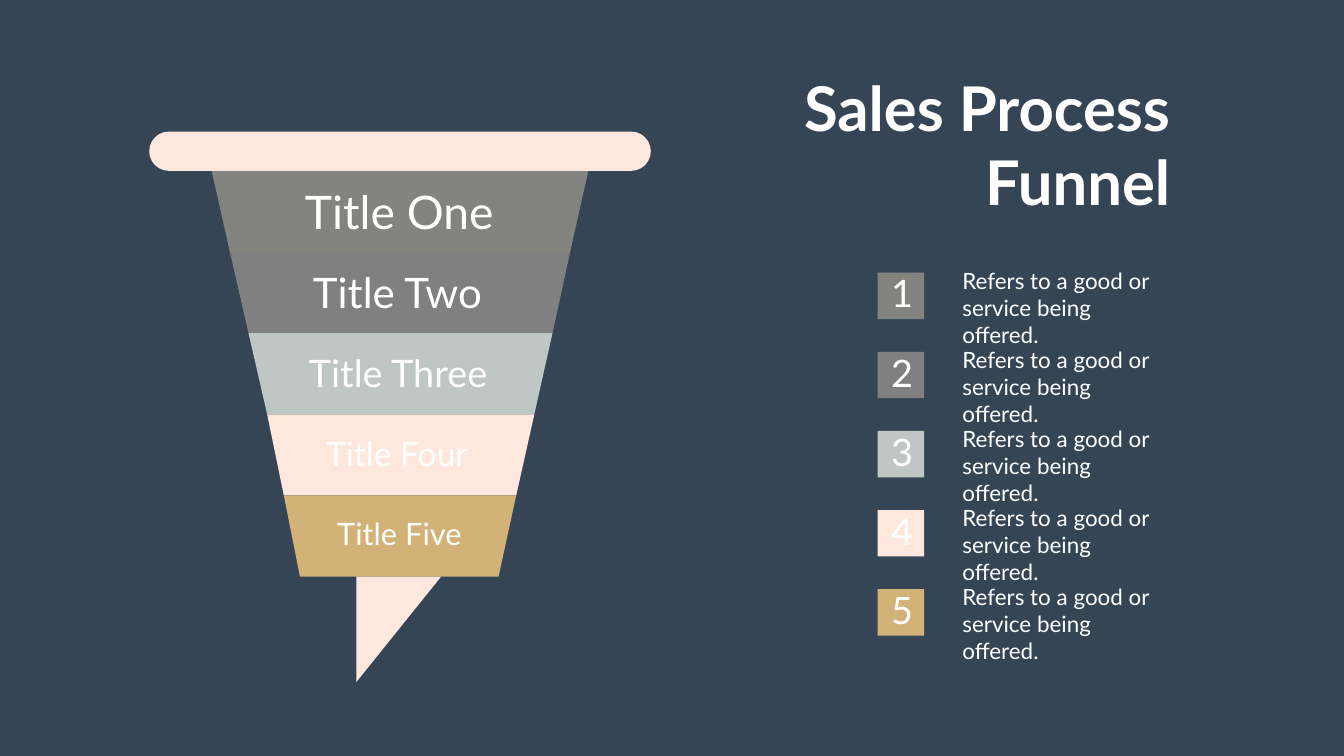
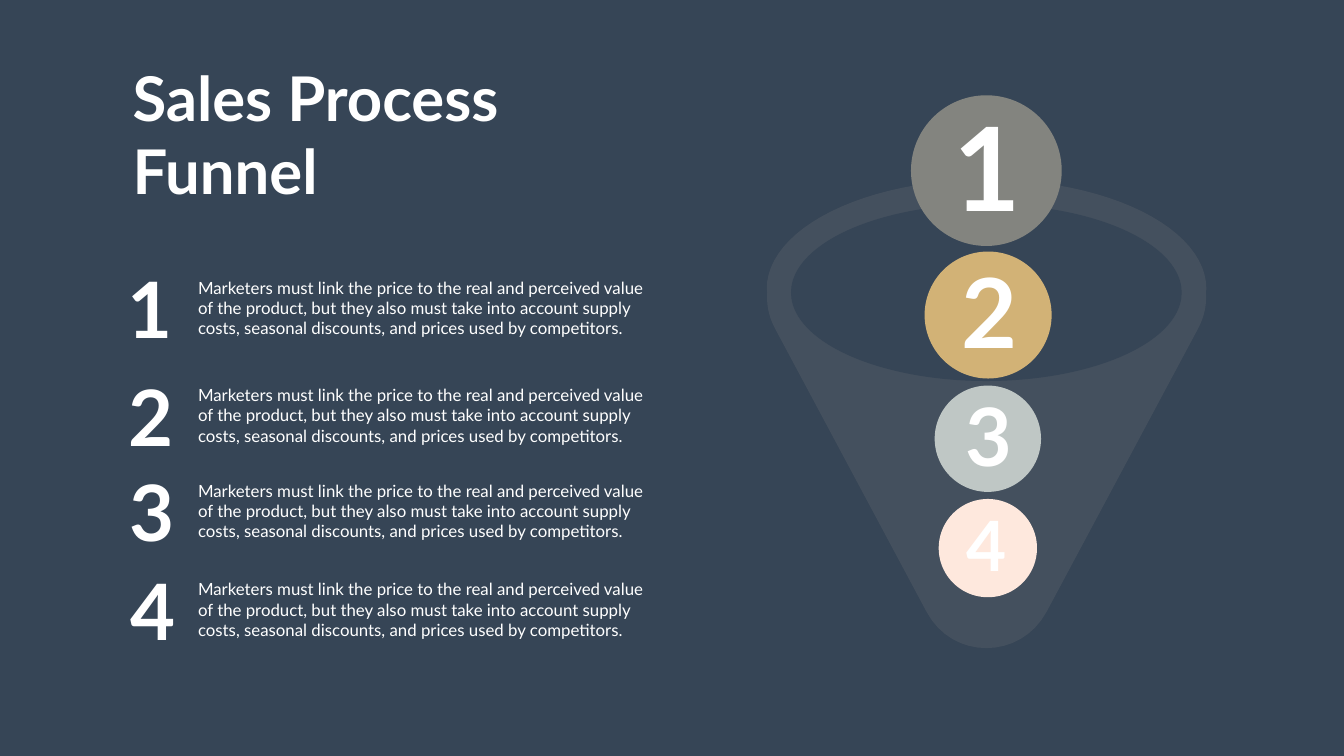
from math import cos, pi, sin

from lxml import etree
from pptx import Presentation
from pptx.dml.color import RGBColor
from pptx.enum.shapes import MSO_SHAPE
from pptx.enum.text import PP_ALIGN
from pptx.oxml.ns import qn
from pptx.util import Inches, Pt

# The slide is a grid of one-inch cells; every length below counts cells.
CELL = Inches(1)
COLUMNS, ROWS = 26.66, 15

FONT = "Lato"
NAVY, WHITE = "364556", "FFFFFF"
OLIVE, GREY, MIST, BLUSH, GOLD = "83847F", "808080", "BFC7C5", "FEE8DD", "D2B276"
TIER_COLOURS = [OLIVE, GREY, MIST, BLUSH, GOLD]

TITLE = ["Sales Process", "Funnel"]
OFFER = ["Refers to a good or", "service being offered."]
PRICING = ("Marketers must link the price to the real and perceived value of the "
           "product, but they also must take into account supply costs, seasonal "
           "discounts, and prices used by competitors.")


def cells(*counts):
    return [round(count * CELL) for count in counts]


def colour(code):
    return RGBColor.from_string(code)


def paint(shape, fill, opacity=None):
    shape.shadow.inherit = False
    shape.fill.solid()
    shape.fill.fore_color.rgb = colour(fill)
    shape.line.fill.background()
    if opacity is not None:
        tint = shape.fill._xPr.find(qn("a:solidFill"))[0]
        etree.SubElement(tint, qn("a:alpha")).set("val", str(opacity * 1000))


def add_preset(slide, kind, left, top, width, height, fill):
    shape = slide.shapes.add_shape(kind, *cells(left, top, width, height))
    paint(shape, fill)
    return shape


def add_outline(slide, points, fill, opacity=None):
    start, *rest = [cells(*point) for point in points]
    builder = slide.shapes.build_freeform(*start, scale=1.0)
    builder.add_line_segments(rest, close=True)
    paint(builder.convert_to_shape(), fill, opacity)


def add_text(slide, lines, left, top, width, *, size, rows=None, bold=False,
             align=PP_ALIGN.LEFT, wrap=True):
    """Add one paragraph per line; rows is the number of lines once wrapped."""
    height = (rows or len(lines)) * size * 1.2 / 72 + 0.1
    frame = slide.shapes.add_textbox(*cells(left, top, width, height)).text_frame
    frame.word_wrap = wrap
    for index, line in enumerate(lines):
        paragraph = frame.add_paragraph() if index else frame.paragraphs[0]
        paragraph.alignment = align
        run = paragraph.add_run()
        run.text = line
        run.font.name = FONT
        run.font.size = Pt(size)
        run.font.bold = bold
        run.font.color.rgb = colour(WHITE)


def add_title(slide, left, top, align):
    add_text(slide, TITLE, left, top, 7.59, size=88, bold=True, align=align)


def add_digit(slide, number, left, top, size, bold=True):
    width = size * 0.58 / 72 + 0.2
    add_text(slide, [str(number)], left, top, width, size=size, bold=bold, wrap=False)


def new_slide(deck):
    slide = deck.slides.add_slide(deck.slide_layouts[6])
    slide.background.fill.solid()
    slide.background.fill.fore_color.rgb = colour(NAVY)
    return slide


def curve(start, pull, push, end, steps=16):
    """Return points along a cubic Bezier curve."""
    points = []
    for step in range(steps + 1):
        t = step / steps
        weights = ((1 - t) ** 3, 3 * t * (1 - t) ** 2, 3 * t * t * (1 - t), t ** 3)
        points.append([sum(w * p[axis] for w, p in zip(weights, (start, pull, push, end)))
                       for axis in (0, 1)])
    return points


def draw_tiers(slide):
    lefts = [4.2, 4.56, 4.93, 5.3, 5.63, 5.95]
    rights = [11.67, 11.31, 10.96, 10.6, 10.24, 9.89]
    top, step = 3.39, 1.61
    for tier, fill in enumerate(TIER_COLOURS):
        upper = top + tier * step
        lower = upper + step
        add_outline(slide, [(lefts[tier], upper), (lefts[tier + 1], lower),
                            (rights[tier + 1], lower), (rights[tier], upper)], fill)
    rim = add_preset(slide, MSO_SHAPE.ROUNDED_RECTANGLE, 2.96, 2.61, 9.95, 0.78, BLUSH)
    rim.adjustments[0] = 0.5
    add_outline(slide, [(7.07, 13.53), (7.07, 11.44), (8.75, 11.44)], BLUSH)

    names = [("One", 5.95, 3.59, 4, 66), ("Two", 6.11, 5.23, 3.69, 60),
             ("Three", 6.03, 6.89, 3.82, 54), ("Four", 6.37, 8.54, 3.04, 48),
             ("Five", 6.59, 10.16, 2.71, 44)]
    for name, left, upper, width, size in names:
        add_text(slide, [f"Title {name}"], left, upper, width, size=size, wrap=False)


def draw_legend(slide):
    step = 1.57
    for index, fill in enumerate(TIER_COLOURS):
        drop = index * step
        add_preset(slide, MSO_SHAPE.RECTANGLE, 17.41, 5.41 + drop, 0.92, 0.92, fill)
        add_digit(slide, index + 1, 17.58, 5.31 + drop, 54, bold=False)
        add_text(slide, OFFER, 18.99, 5.25 + drop, 4.18, size=32)


def draw_cone(slide):
    middle, brim, half_width, rise = 19.57, 5.73, 4.36, 2.17
    arc = [(middle + half_width * cos(pi * step / 48), brim - rise * sin(pi * step / 48))
           for step in range(49)]
    shoulder = curve((15.22, 5.8), (15.2, 6.04), (15.25, 6.29), (15.38, 6.53))
    tip = curve((18.38, 12.14), (18.89, 13.1), (20.24, 13.1), (20.76, 12.14))
    mirrored = [(2 * middle - x, y) for x, y in reversed(shoulder)]
    add_outline(slide, arc + shoulder + tip + mirrored, GREY, opacity=20)
    add_preset(slide, MSO_SHAPE.OVAL, 15.69, 4.05, 7.75, 3.51, NAVY)


def draw_balls(slide):
    balls = [(OLIVE, 18.07, 1.89, 2.99, 18.82, 1.85, 166),
             (GOLD, 18.34, 4.99, 2.52, 18.97, 4.95, 138),
             (MIST, 18.54, 7.65, 2.11, 19.06, 7.61, 115),
             (BLUSH, 18.62, 9.9, 1.95, 19.08, 9.92, 99)]
    for number, (fill, left, top, across, digit_left, digit_top, size) in enumerate(balls, 1):
        add_preset(slide, MSO_SHAPE.OVAL, left, top, across, across, fill)
        add_digit(slide, number, digit_left, digit_top, size)


def draw_steps(slide):
    for number, top in enumerate([5.13, 7.26, 9.16, 11.11], 1):
        add_digit(slide, number, 2.42 + 0.02 * number, top, 111)
        add_text(slide, [PRICING], 3.83, top + 0.33, 9.29, size=24, rows=3)


def main():
    deck = Presentation()
    deck.slide_width, deck.slide_height = cells(COLUMNS, ROWS)

    tiers = new_slide(deck)
    draw_tiers(tiers)
    draw_legend(tiers)
    add_title(tiers, 15.72, 1.33, PP_ALIGN.RIGHT)

    cone = new_slide(deck)
    draw_cone(cone)
    draw_balls(cone)
    draw_steps(cone)
    add_title(cone, 2.53, 1.13, PP_ALIGN.LEFT)

    deck.save("out.pptx")


if __name__ == "__main__":
    main()
